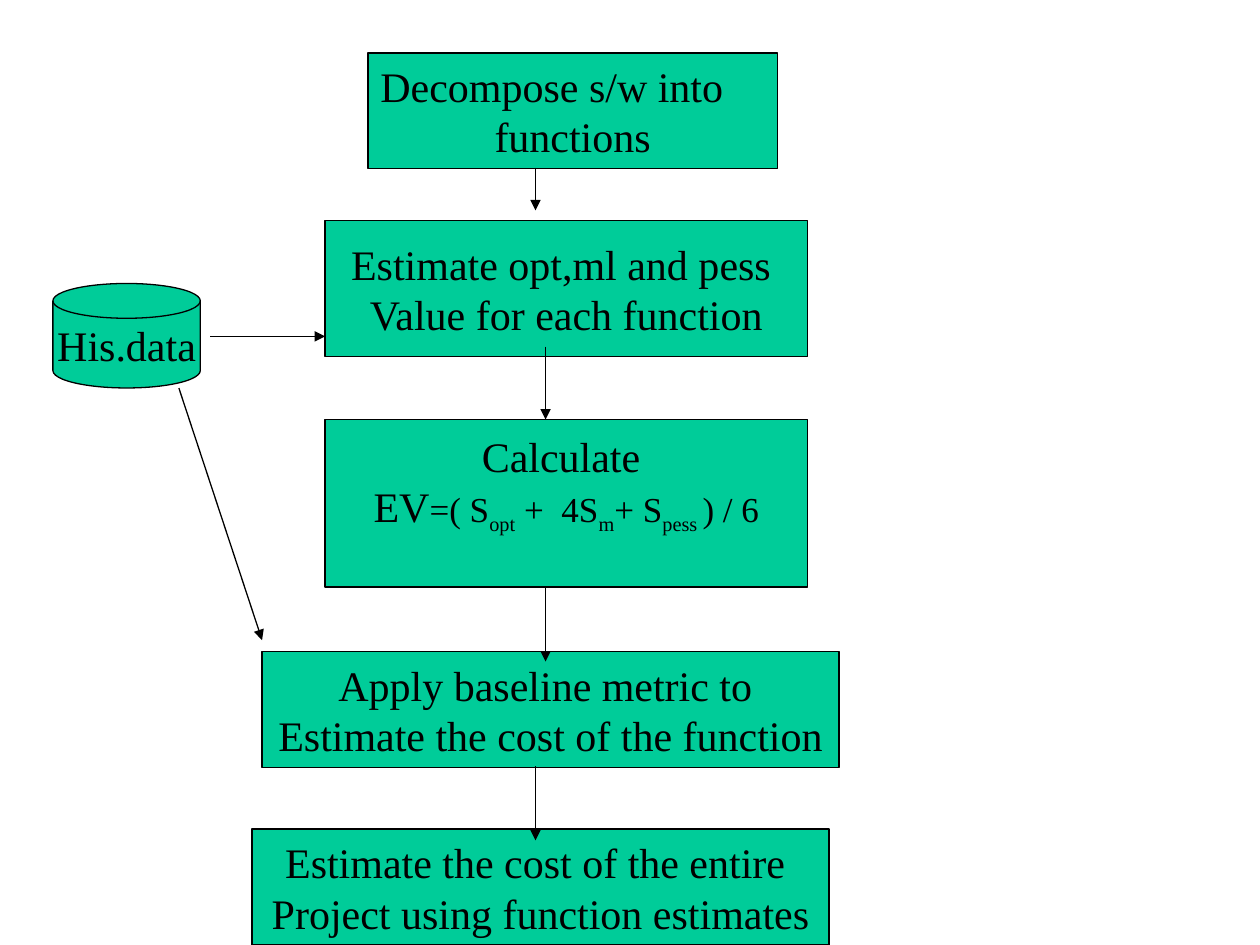
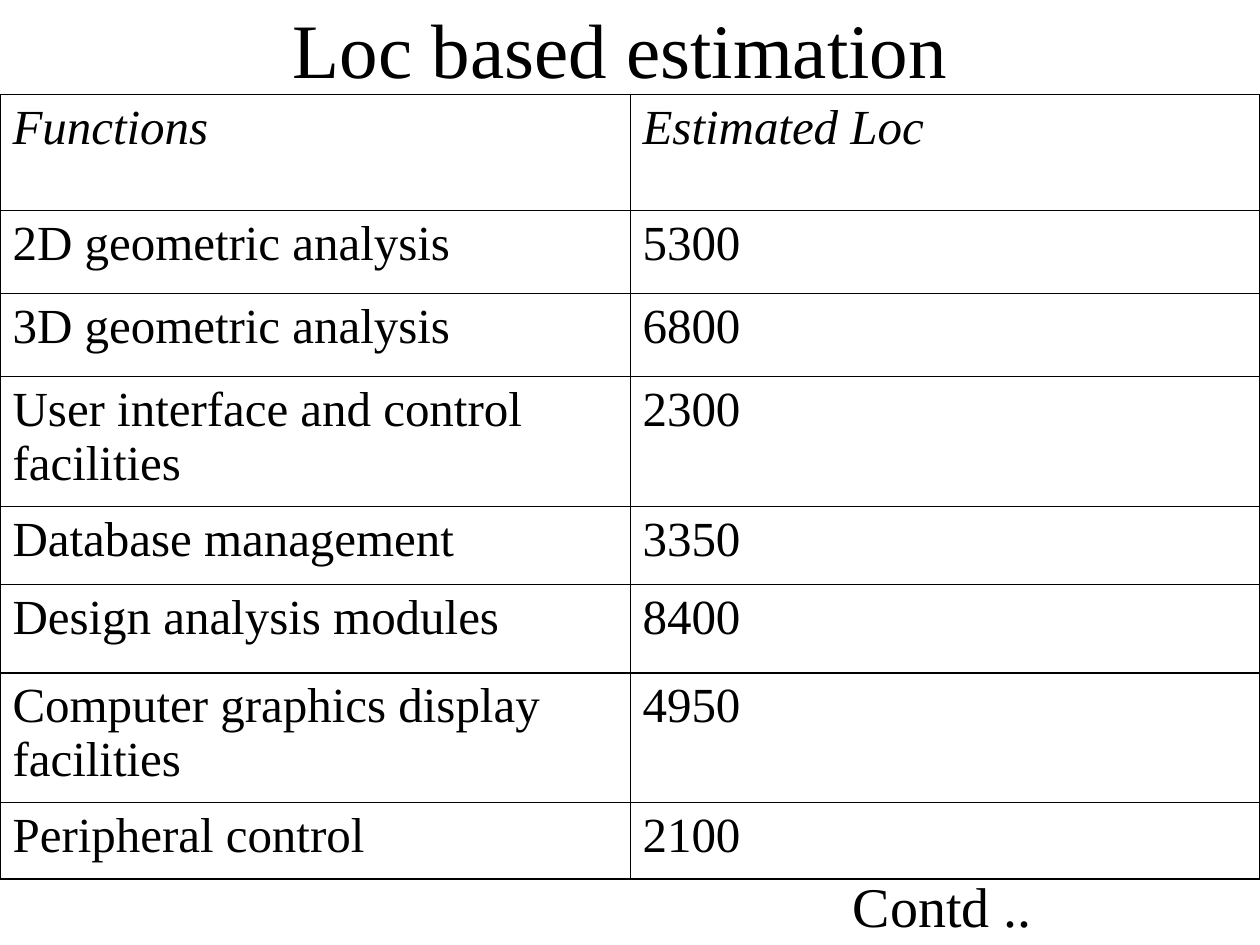
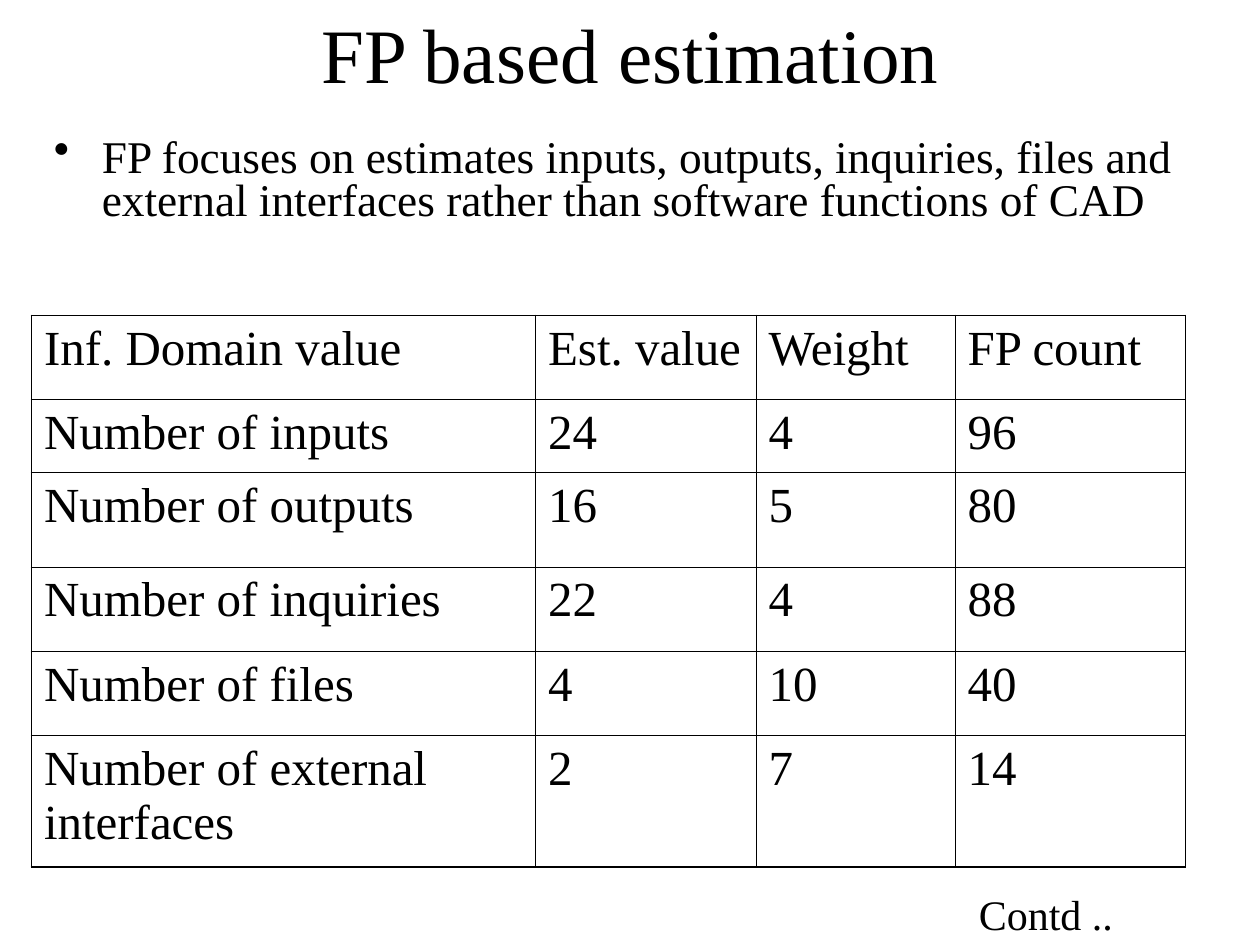
from lxml import etree
from pptx import Presentation
from pptx.dml.color import RGBColor
from pptx.enum.shapes import MSO_CONNECTOR, MSO_SHAPE
from pptx.enum.text import MSO_ANCHOR, MSO_AUTO_SIZE, PP_ALIGN
from pptx.oxml.ns import qn
from pptx.util import Inches, Pt

RECT = MSO_SHAPE.RECTANGLE
DISK = MSO_SHAPE.FLOWCHART_MAGNETIC_DISK
STRAIGHT = MSO_CONNECTOR.STRAIGHT
MIDDLE = MSO_ANCHOR.MIDDLE
NO_AUTOFIT = MSO_AUTO_SIZE.NONE
LEFT, CENTER = PP_ALIGN.LEFT, PP_ALIGN.CENTER

BLACK, GREEN = "000000", "00CC99"
THIN, THICK = 0.45, 1.08
TITLE_ONLY, BLANK = 5, 6


def color(hex_string):
    return RGBColor.from_string(hex_string)


def write(paragraph, text, size, **changes):
    run = paragraph.add_run()
    run.text = text
    formats = {"name": "Times New Roman", "size": Pt(size), **changes}
    for attribute, value in formats.items():
        setattr(run.font, attribute, value)
    run.font.color.rgb = color(BLACK)
    return run


prs = Presentation()
prs.slide_width, prs.slide_height = Inches(10), Inches(7.5)

flow = prs.slides.add_slide(prs.slide_layouts[BLANK])

formula = [
    ("EV", 24, 0), ("=( S", 20, 0), ("opt", 20, -25), (" +  4S", 20, 0),
    ("m", 20, -25), ("+ S", 20, 0), ("pess ", 20, -25), (") / 6", 20, 0),
]
steps = [
    (RECT, (2.92, 0.42, 3.25, 0.92), 0.05, LEFT,
     [[("Decompose s/w into", 24, 0)], [("functions", 24, 0)]]),
    (RECT, (2.58, 1.75, 3.83, 1.08), 0.05, CENTER,
     [[("Estimate opt,ml and pess ", 24, 0)], [("Value for each function", 24, 0)]]),
    (DISK, (0.42, 2.25, 1.17, 0.83), 0.05, CENTER, [[("His.data", 24, 0)]]),
    (RECT, (2.58, 3.33, 3.83, 1.33), 0.37, CENTER,
     [[("Calculate ", 24, 0)], formula]),
    (RECT, (2.08, 5.17, 4.58, 0.92), 0.05, CENTER,
     [[("Apply baseline metric to ", 24, 0)],
      [("Estimate the cost of the function", 24, 0)]]),
    (RECT, (2, 6.58, 4.58, 0.92), 0.05, CENTER,
     [[("Estimate the cost of the entire ", 24, 0)],
      [("Project using function estimates", 24, 0)]]),
]
for kind, place, bottom_inset, first_alignment, lines in steps:
    step = flow.shapes.add_shape(kind, *map(Inches, place))
    step.shadow.inherit = False
    step.fill.solid()
    step.fill.fore_color.rgb = color(GREEN)
    step.line.color.rgb = color(BLACK)
    step.line.width = Pt(0.75)
    frame = step.text_frame
    frame.word_wrap = kind == RECT
    frame.vertical_anchor = MIDDLE
    frame.margin_bottom = Inches(bottom_inset)
    for number, line in enumerate(lines):
        paragraph = frame.add_paragraph() if number else frame.paragraphs[0]
        paragraph.alignment = CENTER if number else first_alignment
        for text, size, baseline in line:
            run = write(paragraph, text, size)
            if baseline:
                run.font._element.set("baseline", str(baseline * 1000))

arrows = [
    (1.67, 2.67, 2.58, 2.67),
    (4.25, 1.33, 4.25, 1.67),
    (4.33, 2.75, 4.33, 3.33),
    (4.33, 4.67, 4.33, 5.25),
    (4.25, 6.08, 4.25, 6.67),
    (1.42, 3.08, 2.08, 5.08),
]
for ends in arrows:
    arrow = flow.shapes.add_connector(STRAIGHT, *map(Inches, ends))
    arrow.line.color.rgb = color(BLACK)
    arrow.line.width = Pt(0.75)
    etree.SubElement(arrow.line._get_or_add_ln(), qn("a:tailEnd"), type="triangle")
    etree.SubElement(arrow._element.spPr, qn("a:effectLst"))

loc_rows = [
    ("Functions", "Estimated Loc"),
    ("2D geometric analysis", "5300"),
    ("3D geometric analysis", "6800"),
    ("User interface and control facilities", "2300"),
    ("Database management", "3350"),
    ("Design analysis modules", "8400"),
    ("Computer graphics display facilities", "4950"),
    ("Peripheral control", "2100"),
]
fp_rows = [
    ("Inf. Domain value", "Est. value", "Weight", "FP count"),
    ("Number of inputs", "24", "4", "96"),
    ("Number of outputs", "16", "5", "80"),
    ("Number of inquiries", "22", "4", "88"),
    ("Number of files", "4", "10", "40"),
    ("Number of external interfaces", "2", "7", "14"),
]
estimations = [
    {"title": "Loc based estimation ", "title_at": (0.75, 0, 8.5, 0.75),
     "rows": loc_rows, "table_at": (0, 0.75, 10, 6.25), "widths": (5, 5),
     "heights": (0.92, 0.66, 0.66, 1.03, 0.62, 0.7, 1.03, 0.61),
     "rule": THICK, "italic_header": True,
     "contd_at": (6.67, 6.87, 2.58, 0.64), "contd_size": 32},
    {"title": "FP based estimation ", "title_at": (0.83, 0, 8.5, 0.83),
     "rows": fp_rows, "table_at": (0.25, 2.5, 9.17, 4.37),
     "widths": (4, 1.75, 1.58, 1.83),
     "heights": (0.67, 0.58, 0.75, 0.67, 0.67, 1.04),
     "rule": THIN, "italic_header": False,
     "contd_at": (7.67, 7, 1.75, 0.5), "contd_size": 24},
]
for estimation in estimations:
    slide = prs.slides.add_slide(prs.slide_layouts[TITLE_ONLY])
    title = slide.shapes.title
    title.left, title.top, title.width, title.height = map(Inches, estimation["title_at"])
    title.text_frame.auto_size = NO_AUTOFIT
    title.text_frame.vertical_anchor = MIDDLE
    title.text_frame.paragraphs[0].alignment = CENTER
    write(title.text_frame.paragraphs[0], estimation["title"], 44)

    rows, widths = estimation["rows"], estimation["widths"]
    table = slide.shapes.add_table(
        len(rows), len(widths), *map(Inches, estimation["table_at"])).table
    table.first_row = table.horz_banding = False
    for column, width in zip(table.columns, widths):
        column.width = Inches(width)
    for row, height in zip(table.rows, estimation["heights"]):
        row.height = Inches(height)
    for r, values in enumerate(rows):
        for c, value in enumerate(values):
            cell = table.cell(r, c)
            cell.fill.background()
            write(cell.text_frame.paragraphs[0], value, 28,
                  italic=estimation["italic_header"] and r == 0)
            borders = {
                "a:lnL": THICK if c == 0 else THIN,
                "a:lnR": THICK if c == len(widths) - 1 else THIN,
                "a:lnT": estimation["rule"],
                "a:lnB": THICK if r == len(rows) - 1 else estimation["rule"],
            }
            properties = cell._tc.get_or_add_tcPr()
            for position, (side, weight) in enumerate(borders.items()):
                border = etree.Element(qn(side), w=str(Pt(weight)))
                fill = etree.SubElement(border, qn("a:solidFill"))
                etree.SubElement(fill, qn("a:srgbClr"), val=BLACK)
                properties.insert(position, border)

    contd = slide.shapes.add_textbox(*map(Inches, estimation["contd_at"])).text_frame
    contd.word_wrap = True
    write(contd.paragraphs[0], "Contd ..", estimation["contd_size"])

focus = slide.shapes.add_textbox(*map(Inches, (0.33, 1, 9.25, 1.33))).text_frame
focus.word_wrap = True
focus.margin_top = Inches(0.1)
point = focus.paragraphs[0]
point.line_spacing = 0.8
indent = point._p.get_or_add_pPr()
indent.set("marL", str(Inches(0.38)))
indent.set("indent", str(Inches(-0.38)))
etree.SubElement(indent, qn("a:buChar"), char="•")
write(point, "FP focuses on estimates inputs, outputs, inquiries, files and external "
      "interfaces rather than software functions of CAD", 25.9)

prs.save("out.pptx")
